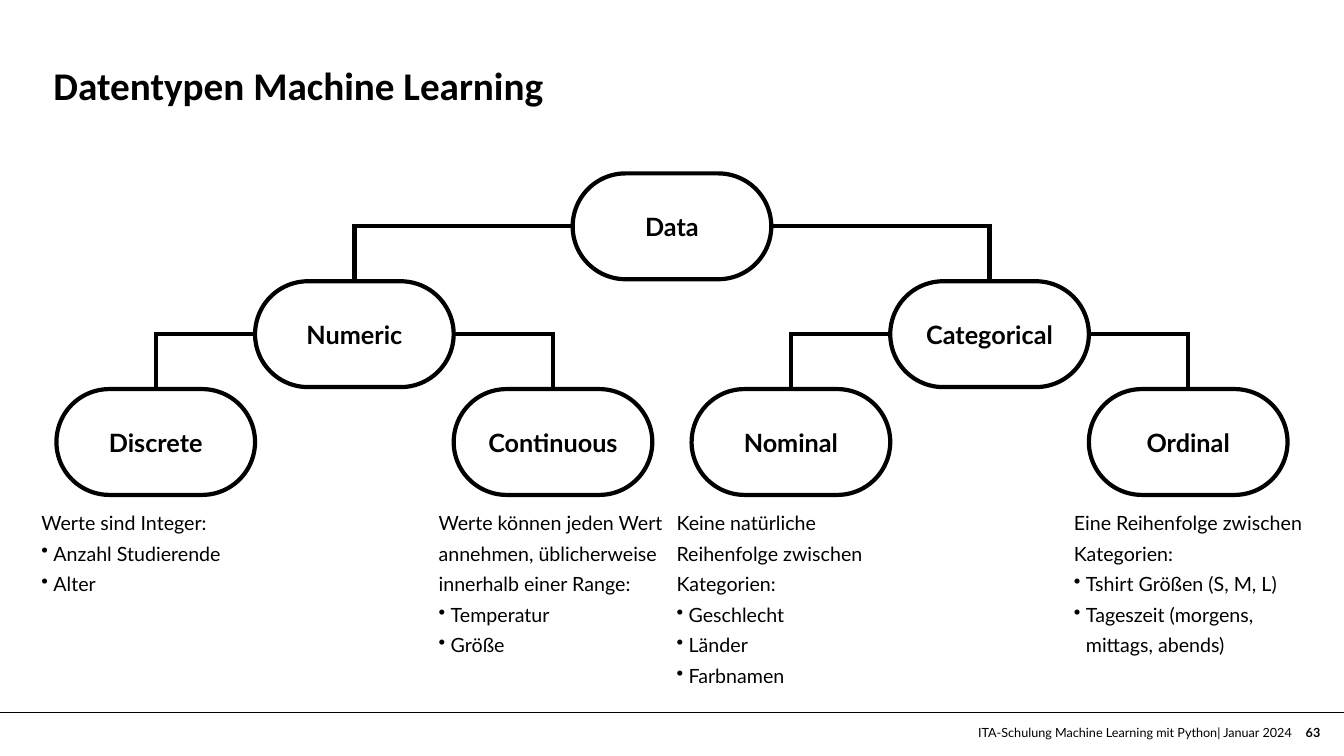
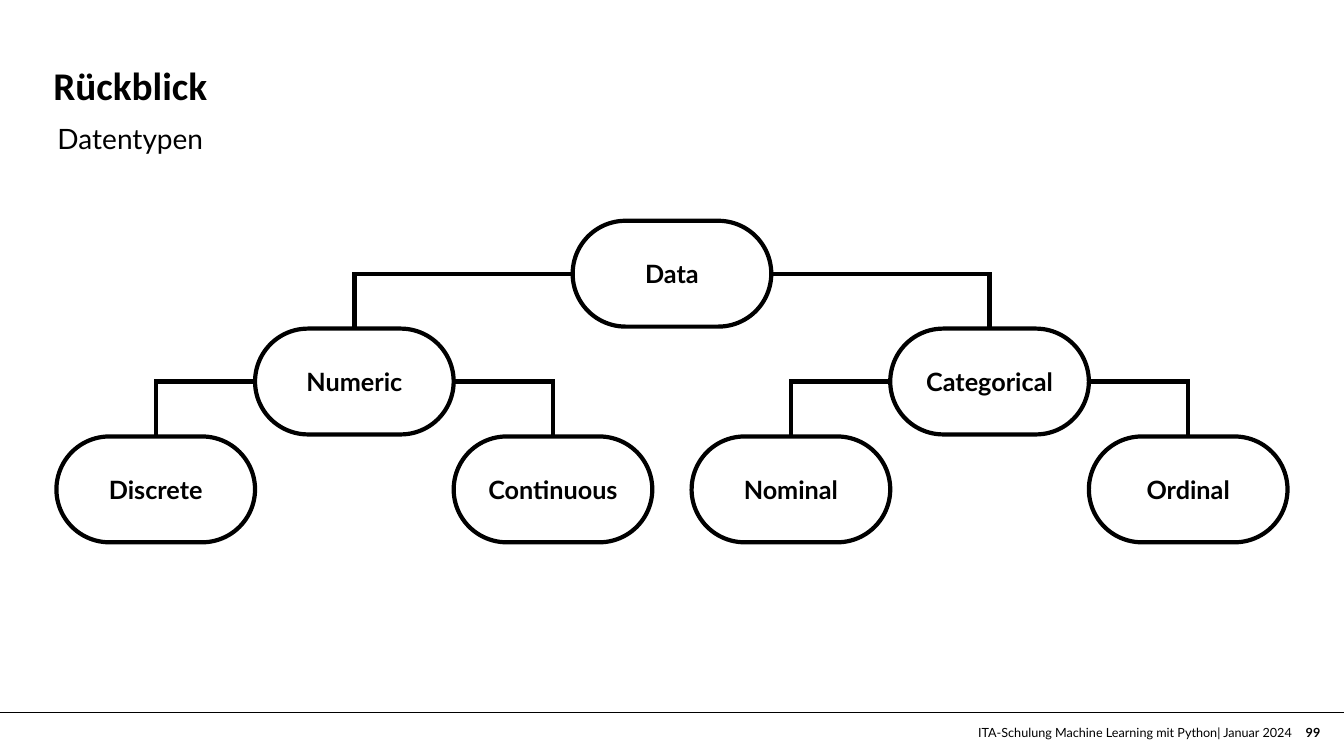
from lxml import etree
from pptx import Presentation
from pptx.dml.color import RGBColor
from pptx.enum.shapes import MSO_CONNECTOR, MSO_SHAPE
from pptx.enum.text import MSO_ANCHOR, PP_ALIGN
from pptx.oxml.ns import qn
from pptx.util import Inches, Pt

STRAIGHT = MSO_CONNECTOR.STRAIGHT
ROUNDED = MSO_SHAPE.ROUNDED_RECTANGLE
TOP, MIDDLE = MSO_ANCHOR.TOP, MSO_ANCHOR.MIDDLE
LEFT, CENTER, RIGHT = PP_ALIGN.LEFT, PP_ALIGN.CENTER, PP_ALIGN.RIGHT
TOP_SITE, LEFT_SITE, RIGHT_SITE = 0, 1, 3

COLORS = {"ink": "000000", "paper": "FFFFFF"}
HEADING_FONT, BODY_FONT = "Calibri", "Lato"
SLIDE_WIDTH, SLIDE_HEIGHT = 13.33, 7.5
FOOTER = "ITA-Schulung Machine Learning mit Python| Januar 2024"

NODE_WIDTH, NODE_HEIGHT = 1.97, 1.05
LEVEL_STEP = 1.07
ROOT_LEFT = 5.68
BRANCH_OFFSET = 3.15
LINE_OVERLAP = 0.02
BULLET_INDENT = 0.12

BRANCHES = [
    (-1, "Numeric", ["Discrete", "Continuous"]),
    (1, "Categorical", ["Nominal", "Ordinal"]),
]
DESCRIPTIONS = {
    "Discrete": ["Werte sind Integer:", "Anzahl Studierende", "Alter"],
    "Continuous": [
        "Werte können jeden Wert annehmen, üblicherweise innerhalb einer Range:",
        "Temperatur",
        "Größe",
    ],
    "Nominal": [
        "Keine natürliche Reihenfolge zwischen Kategorien:",
        "Geschlecht",
        "Länder",
        "Farbnamen",
    ],
    "Ordinal": [
        "Eine Reihenfolge zwischen Kategorien:",
        "Tshirt Größen (S, M, L)",
        "Tageszeit (morgens, mittags, abends)",
    ],
}


def color(name):
    return RGBColor.from_string(COLORS[name])


def style_paragraph(paragraph, size, bold=False, font=BODY_FONT, align=LEFT):
    paragraph.alignment = align
    for run in paragraph.runs:
        run.font.name = font
        run.font.size = Pt(size)
        run.font.bold = bold
        run.font.color.rgb = color("ink")


def add_bullet(paragraph):
    properties = paragraph._p.get_or_add_pPr()
    properties.set("marL", str(Inches(BULLET_INDENT)))
    properties.set("indent", str(-Inches(BULLET_INDENT)))
    etree.SubElement(properties, qn("a:buChar")).set("char", "•")


def add_text(slide, box, lines, size, anchor=TOP, wrap=True, spacing=None, **style):
    shape = slide.shapes.add_textbox(*map(Inches, box))
    frame = shape.text_frame
    frame.margin_left = frame.margin_top = frame.margin_right = frame.margin_bottom = 0
    frame.word_wrap = wrap
    frame.vertical_anchor = anchor
    frame.text = "\n".join(lines)
    for index, paragraph in enumerate(frame.paragraphs):
        if index:
            add_bullet(paragraph)
        if spacing:
            paragraph.line_spacing = spacing
        style_paragraph(paragraph, size, **style)


def add_line(slide, start, end, width):
    connector = slide.shapes.add_connector(STRAIGHT, *map(Inches, (*start, *end)))
    connector.line.color.rgb = color("ink")
    connector.line.width = Pt(width)
    etree.SubElement(connector._element.spPr, qn("a:effectLst"))
    return connector


def add_node(slide, left, top, label):
    node = slide.shapes.add_shape(
        ROUNDED, Inches(left), Inches(top), Inches(NODE_WIDTH), Inches(NODE_HEIGHT)
    )
    node.adjustments[0] = 0.5
    node.shadow.inherit = False
    node.fill.solid()
    node.fill.fore_color.rgb = color("paper")
    node.line.color.rgb = color("ink")
    node.line.width = Pt(3)
    frame = node.text_frame
    frame.vertical_anchor = MIDDLE
    frame.text = label
    style_paragraph(frame.paragraphs[0], 18, bold=True, align=CENTER)
    return node


def join_nodes(slide, parent, child, side):
    corner_x = (child.left + child.width / 2) / Inches(1)
    corner_y = (parent.top + parent.height / 2) / Inches(1)
    corner = (corner_x, corner_y)
    outer_corner = (corner_x + side * LINE_OVERLAP, corner_y)
    across = add_line(slide, corner, outer_corner, 3)
    across.begin_connect(parent, LEFT_SITE if side < 0 else RIGHT_SITE)
    down = add_line(slide, corner, corner, 3)
    down.end_connect(child, TOP_SITE)


def add_data_tree(slide, top):
    root = add_node(slide, ROOT_LEFT, top, "Data")
    for side, label, leaves in BRANCHES:
        branch_left = ROOT_LEFT + side * BRANCH_OFFSET
        branch = add_node(slide, branch_left, top + LEVEL_STEP, label)
        join_nodes(slide, root, branch, side)
        for leaf_side, leaf_label in zip((-1, 1), leaves):
            leaf_left = branch_left + leaf_side * NODE_WIDTH
            leaf = add_node(slide, leaf_left, top + 2 * LEVEL_STEP, leaf_label)
            join_nodes(slide, branch, leaf, leaf_side)
            yield leaf_label, leaf_left


def add_base_slide(presentation, title, number):
    slide = presentation.slides.add_slide(presentation.slide_layouts[6])
    add_line(slide, (0, 7.07), (SLIDE_WIDTH, 7.07), 1)
    add_text(slide, (12.95, 7.19, 0.19, 0.15), [number], 9, MIDDLE, wrap=False, bold=True)
    add_text(slide, (0.53, 0.61, 12.28, 0.5), [title], 28, bold=True, font=HEADING_FONT)
    add_text(slide, (2.73, 7.19, 10.08, 0.16), [FOOTER], 9, MIDDLE, align=RIGHT)
    return slide


def main():
    presentation = Presentation()
    presentation.slide_width = Inches(SLIDE_WIDTH)
    presentation.slide_height = Inches(SLIDE_HEIGHT)

    types_slide = add_base_slide(presentation, "Datentypen Machine Learning", "63")
    for label, left in list(add_data_tree(types_slide, 1.72)):
        add_text(types_slide, (left - 0.15, 5, 2.28, 1.57), DESCRIPTIONS[label], 14, spacing=1.3)

    review_slide = add_base_slide(presentation, "Rückblick", "99")
    add_text(review_slide, (0.57, 1.11, 12.28, 0.34), ["Datentypen"], 20, spacing=1.3)
    list(add_data_tree(review_slide, 2.19))

    presentation.save("out.pptx")


if __name__ == "__main__":
    main()
